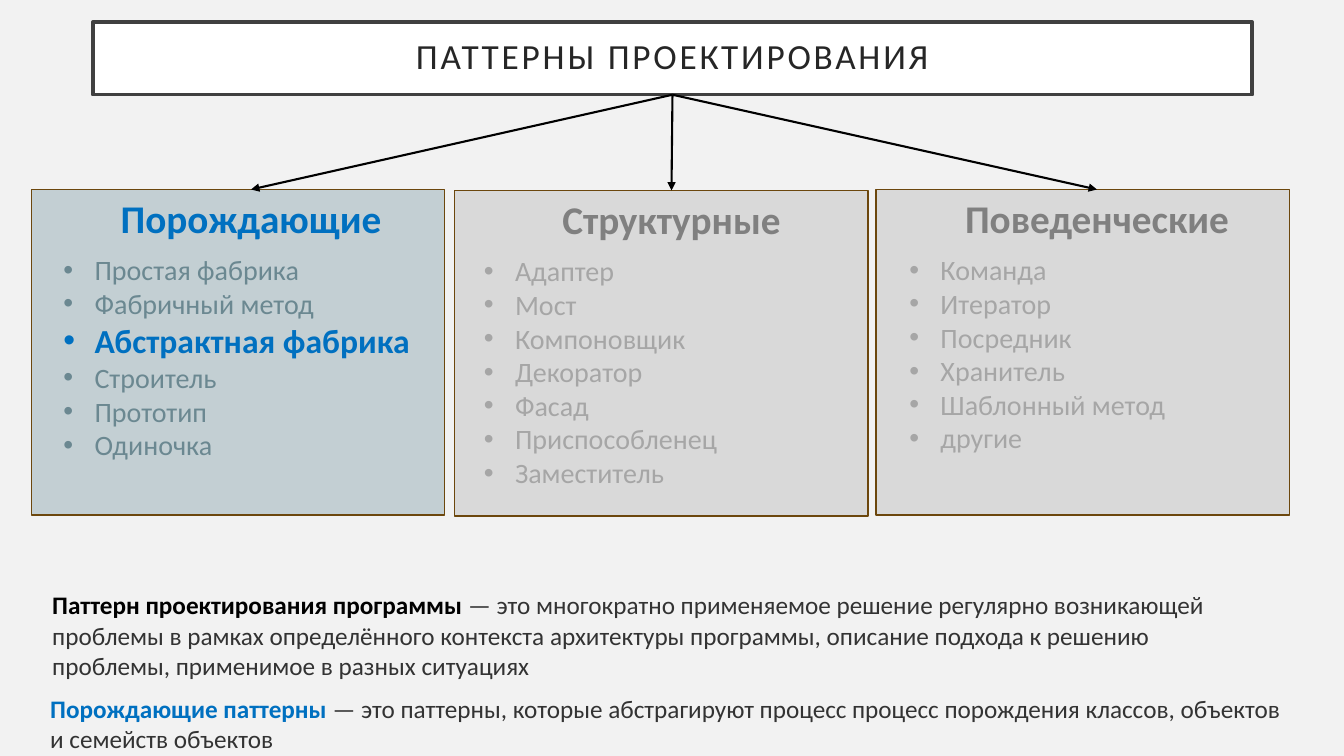
from dataclasses import dataclass

from lxml.etree import SubElement
from pptx import Presentation
from pptx.dml.color import RGBColor
from pptx.enum.shapes import MSO_CONNECTOR, MSO_SHAPE
from pptx.enum.text import MSO_ANCHOR, MSO_AUTO_SIZE, PP_ALIGN
from pptx.oxml.ns import qn
from pptx.util import Pt

EMU_PER_PX = 9144  # 100 px to the inch
FONT = "Calibri"
COLORS = {
    "background": "F2F2F2", "white": "FFFFFF", "black": "000000",
    "title_line": "404040", "title_text": "262626", "body": "333333",
    "accent": "0070C0", "box_line": "6C470D",
    "active_box": "C3CFD3", "active_item": "6B8891",
    "muted_box": "D9D9D9", "muted_heading": "808080", "muted_item": "A6A6A6",
}
BOX_WIDTH, BOX_HEIGHT = 410, 323
HEADING_HEIGHT, ITEMS_OFFSET = 57, 58
BULLET_INDENT = 31


@dataclass(frozen=True)
class Category:
    heading: str
    items: tuple[str, ...]
    left: int
    top: int
    heading_left: int
    items_width: int
    items_height: int
    fill: str = "muted_box"
    heading_color: str = "muted_heading"
    item_color: str = "muted_item"
    selected: str = ""


@dataclass(frozen=True)
class Definition:
    term: str
    meaning: str
    term_color: str
    box: tuple[int, int, int, int]


# Listed from back to front
CATEGORIES = (
    Category("Порождающие",
             ("Простая фабрика", "Фабричный метод", "Абстрактная фабрика",
              "Строитель", "Прототип", "Одиночка"),
             31, 188, 44, 384, 219, "active_box", "accent", "active_item",
             "Абстрактная фабрика"),
    Category("Поведенческие",
             ("Команда", "Итератор", "Посредник", "Хранитель",
              "Шаблонный метод", "другие"),
             869, 188, 883, 323, 212),
    Category("Структурные",
             ("Адаптер", "Мост", "Компоновщик", "Декоратор", "Фасад",
              "Приспособленец", "Заместитель"),
             451, 189, 461, 323, 246),
)
DEFINITIONS = (
    Definition("Паттерн проектирования программы ",
               "— это многократно применяемое решение регулярно возникающей "
               "проблемы в рамках определённого контекста архитектуры программы, "
               "описание подхода к решению проблемы, применимое в разных ситуациях",
               "black", (42, 580, 1226, 101)),
    Definition("Порождающие паттерны ",
               "— это паттерны, которые абстрагируют процесс процесс порождения "
               "классов, объектов и семейств объектов",
               "accent", (40, 683, 1250, 71)),
)


def px(value: int) -> int:
    return value * EMU_PER_PX


def rgb(name: str) -> RGBColor:
    return RGBColor.from_string(COLORS[name])


def add_run(paragraph, text: str, *, size: float, color: str, bold: bool = False):
    run = paragraph.add_run()
    run.text = text
    run.font.name = FONT
    run.font.size = Pt(size)
    run.font.bold = bold
    run.font.color.rgb = rgb(color)
    return run


def add_text_box(shapes, left: int, top: int, width: int, height: int):
    text_box = shapes.add_textbox(px(left), px(top), px(width), px(height))
    text_box.text_frame.word_wrap = True
    text_box.text_frame.auto_size = MSO_AUTO_SIZE.SHAPE_TO_FIT_TEXT
    return text_box


def add_bullet(paragraph) -> None:
    properties = paragraph._p.get_or_add_pPr()
    properties.set("marL", str(px(BULLET_INDENT)))
    properties.set("indent", str(-px(BULLET_INDENT)))
    SubElement(properties, qn("a:buFont"), typeface="Arial")
    SubElement(properties, qn("a:buChar"), char="•")


def style_box(shape, fill: str, line: str, line_width: float) -> None:
    shape.fill.solid()
    shape.fill.fore_color.rgb = rgb(fill)
    shape.line.color.rgb = rgb(line)
    shape.line.width = Pt(line_width)


def format_title(title) -> None:
    title.left, title.top, title.width, title.height = map(px, (92, 22, 1150, 72))
    style_box(title, "white", "title_line", 2.5)
    frame = title.text_frame
    frame.word_wrap = True
    frame.auto_size = MSO_AUTO_SIZE.NONE
    frame.vertical_anchor = MSO_ANCHOR.MIDDLE
    frame.margin_left = frame.margin_right = px(20)
    frame.margin_top = frame.margin_bottom = px(20)
    paragraph = frame.paragraphs[0]
    paragraph.alignment = PP_ALIGN.CENTER
    paragraph.line_spacing = 0.9
    run = add_run(paragraph, "ПАТТЕРНЫ ПРОЕКТИРОВАНИЯ", size=25.2, color="title_text")
    run.font._element.set("spc", "200")


def add_category(slide, category: Category):
    """Draw one grouped category and return its heading box."""
    shapes = slide.shapes.add_group_shape().shapes
    box = shapes.add_shape(MSO_SHAPE.RECTANGLE, px(category.left), px(category.top),
                           px(BOX_WIDTH), px(BOX_HEIGHT))
    box.shadow.inherit = False
    style_box(box, category.fill, "box_line", 1)

    heading = add_text_box(shapes, category.heading_left, category.top,
                           BOX_WIDTH, HEADING_HEIGHT)
    paragraph = heading.text_frame.paragraphs[0]
    paragraph.alignment = PP_ALIGN.CENTER
    add_run(paragraph, category.heading, size=28, color=category.heading_color, bold=True)

    items = add_text_box(shapes, category.heading_left + 9, category.top + ITEMS_OFFSET,
                         category.items_width, category.items_height)
    frame = items.text_frame
    for index, item in enumerate(category.items):
        paragraph = frame.add_paragraph() if index else frame.paragraphs[0]
        add_bullet(paragraph)
        selected = item == category.selected
        add_run(paragraph, item, size=24 if selected else 20, bold=selected,
                color="accent" if selected else category.item_color)
    return heading


def add_arrow(slide, start, end) -> None:
    """Join the bottom of one shape to the top of another."""
    arrow = slide.shapes.add_connector(MSO_CONNECTOR.STRAIGHT, 0, 0, 0, 0)
    arrow.begin_connect(start, 2)
    arrow.end_connect(end, 0)
    arrow.line.color.rgb = rgb("black")
    arrow.line.width = Pt(1.5)
    SubElement(arrow.line._get_or_add_ln(), qn("a:tailEnd"), type="triangle")
    SubElement(arrow._element.spPr, qn("a:effectLst"))


def add_definition(slide, definition: Definition) -> None:
    text_box = add_text_box(slide.shapes, *definition.box)
    paragraph = text_box.text_frame.paragraphs[0]
    add_run(paragraph, definition.term, size=18, color=definition.term_color, bold=True)
    add_run(paragraph, definition.meaning, size=18, color="body")


def main() -> None:
    presentation = Presentation()
    presentation.slide_width, presentation.slide_height = px(1333), px(750)
    slide = presentation.slides.add_slide(presentation.slide_layouts[5])
    slide.background.fill.solid()
    slide.background.fill.fore_color.rgb = rgb("background")

    title = slide.shapes.title
    format_title(title)
    headings = [add_category(slide, category) for category in CATEGORIES]
    for heading in headings:
        add_arrow(slide, title, heading)
    for definition in DEFINITIONS:
        add_definition(slide, definition)
    presentation.save("out.pptx")


if __name__ == "__main__":
    main()
